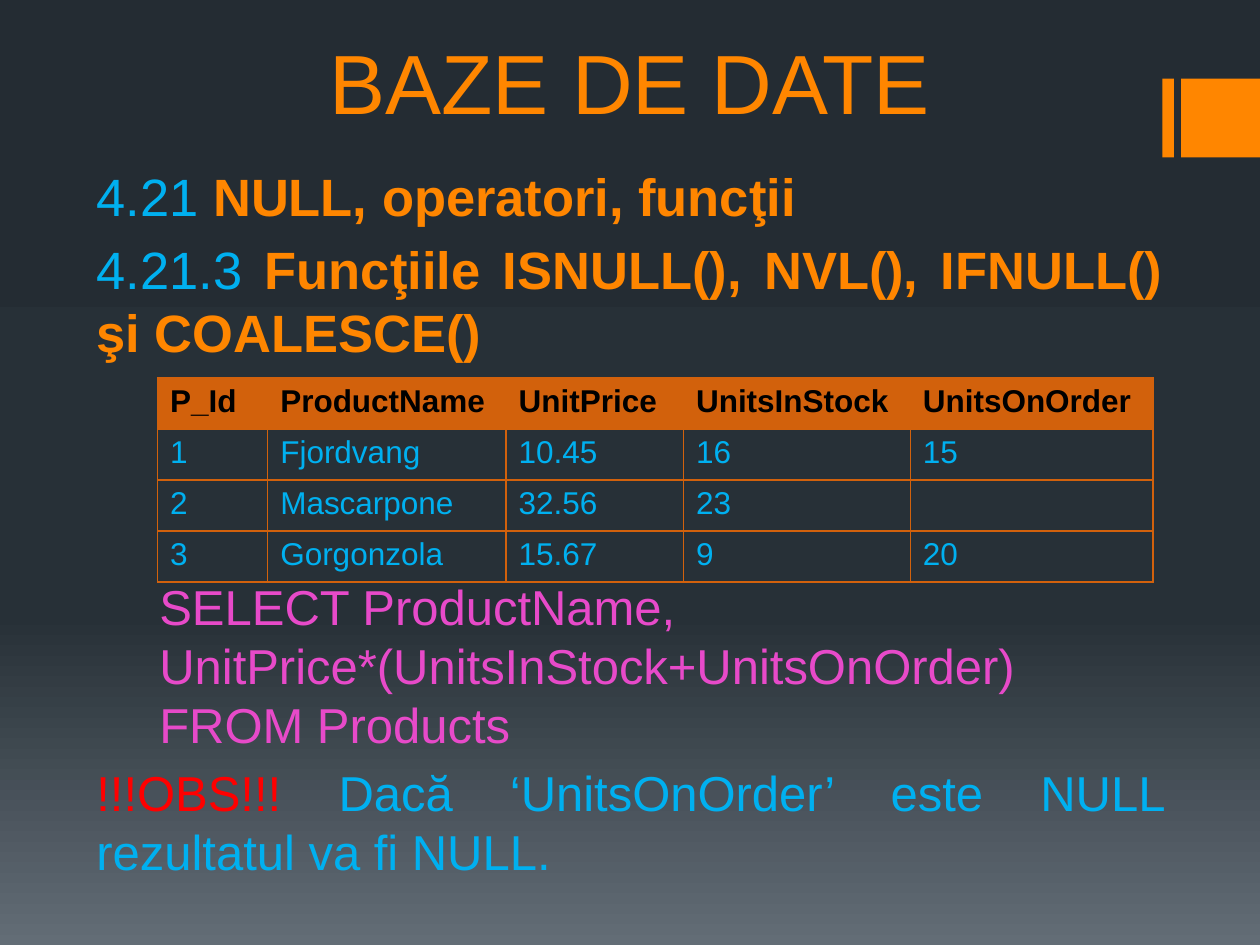
import copy

import pptx
import pptx.dml.color
import pptx.enum.shapes
import pptx.enum.text
import pptx.oxml
import pptx.oxml.ns
import pptx.util

RGBColor = pptx.dml.color.RGBColor
Align = pptx.enum.text.PP_ALIGN
Pt = pptx.util.Pt

ORANGE = RGBColor(0xFF, 0x86, 0x00)
RUST = RGBColor(0xD2, 0x61, 0x0C)
BLUE = RGBColor(0x00, 0xB0, 0xF0)
PINK = RGBColor(0xE7, 0x4A, 0xC9)
RED = RGBColor(0xFF, 0x00, 0x00)
BLACK = RGBColor(0x00, 0x00, 0x00)
BACKGROUND = [
    (0, RGBColor(0x24, 0x2C, 0x33)),
    (0.65, RGBColor(0x27, 0x30, 0x37)),
    (1, RGBColor(0x63, 0x6D, 0x76)),
]

UNIT = pptx.util.Inches(10) // 120
SLIDE_GRID = (120, 90)
COLUMN_WIDTHS = [10.5, 22.7, 16.9, 21.6, 23.1]
ROW_HEIGHT = 4.86
PRODUCTS = [
    ["P_Id", "ProductName", "UnitPrice", "UnitsInStock", "UnitsOnOrder"],
    ["1", "Fjordvang", "10.45", "16", "15"],
    ["2", "Mascarpone", "32.56", "23", ""],
    ["3", "Gorgonzola", "15.67", "9", "20"],
]


def grid(*lengths):
    return [round(length * UNIT) for length in lengths]


def set_values(target, values):
    for name, value in values.items():
        setattr(target, name, value)


def add_span(para, text, size, color, bold=False):
    span = para.add_run()
    span.text = text
    set_values(span.font, {"name": "Arial", "size": Pt(size), "bold": bold})
    span.font.color.rgb = color


def paint_background(page):
    fill = page.background.fill
    fill.gradient()
    fill.gradient_angle = 270
    stops = page.element.find(".//" + pptx.oxml.ns.qn("a:gsLst"))
    stops.append(copy.deepcopy(stops[-1]))
    for stop, (position, color) in zip(fill.gradient_stops, BACKGROUND):
        stop.position = position
        stop.color.rgb = color


def add_bar(page, left, width):
    rectangle = pptx.enum.shapes.MSO_SHAPE.RECTANGLE
    bar = page.shapes.add_shape(rectangle, *grid(left, 7.5, width, 7.5))
    bar.shadow.inherit = False
    bar.fill.solid()
    bar.fill.fore_color.rgb = ORANGE
    bar.line.fill.background()


def format_title(page, text):
    title = page.shapes.title
    left, top, width, height = grid(9, 0, 102, 13.1)
    set_values(title, {"left": left, "top": top, "width": width, "height": height})
    frame = title.text_frame
    set_values(frame, {"vertical_anchor": pptx.enum.text.MSO_ANCHOR.BOTTOM, "word_wrap": True})
    para = frame.paragraphs[0]
    para.alignment = Align.CENTER
    add_span(para, text, 48, ORANGE)


def add_text(page, place, paragraphs):
    frame = page.shapes.add_textbox(*grid(*place)).text_frame
    frame.word_wrap = True
    for index, (alignment, indent, spans) in enumerate(paragraphs):
        para = frame.add_paragraph() if index else frame.paragraphs[0]
        space = Pt(spans[0][1] * 0.2) if index else Pt(0)
        set_values(para, {"alignment": alignment, "space_before": space})
        para._p.get_or_add_pPr().set("marL", str(grid(indent)[0]))
        for span in spans:
            add_span(para, *span)


def add_borders(cell):
    properties = cell._tc.get_or_add_tcPr()
    for index, side in enumerate(["lnL", "lnR", "lnT", "lnB"]):
        border = pptx.oxml.parse_xml(
            f'<a:{side} {pptx.oxml.ns.nsdecls("a")} w="{Pt(1)}"><a:solidFill>'
            f'<a:srgbClr val="{RUST}"/></a:solidFill></a:{side}>'
        )
        properties.insert(index, border)


def fill_cell(cell, text, header):
    if header:
        cell.fill.solid()
        cell.fill.fore_color.rgb = RUST
    else:
        cell.fill.background()
    para = cell.text_frame.paragraphs[0]
    if text:
        add_span(para, text, 18, BLACK if header else BLUE, header)
    add_borders(cell)


def add_product_table(page):
    place = grid(15, 36, sum(COLUMN_WIDTHS), ROW_HEIGHT * len(PRODUCTS))
    table = page.shapes.add_table(len(PRODUCTS), len(COLUMN_WIDTHS), *place).table
    for column, width in zip(table.columns, grid(*COLUMN_WIDTHS)):
        column.width = width
    for row_index, values in enumerate(PRODUCTS):
        for column_index, text in enumerate(values):
            fill_cell(table.cell(row_index, column_index), text, row_index == 0)


def main():
    deck = pptx.Presentation()
    deck.slide_width, deck.slide_height = grid(*SLIDE_GRID)
    page = deck.slides.add_slide(deck.slide_layouts.get_by_name("Title Only"))
    paint_background(page)
    add_bar(page, 110.7, 1.1)
    add_bar(page, 112.5, 7.5)
    format_title(page, "BAZE DE DATE")
    add_text(page, (8, 15, 104, 20), [
        (Align.LEFT, 0, [
            ("4.21", 30, BLUE),
            (" NULL, operatori, funcţii", 30, ORANGE, True),
        ]),
        (Align.JUSTIFY, 0, [
            ("4.21.3 ", 30, BLUE),
            ("Funcţiile ISNULL(), NVL(), IFNULL() şi COALESCE()", 30, ORANGE, True),
        ]),
    ])
    add_text(page, (8, 54.3, 104, 27.7), [
        (Align.LEFT, 6, [
            ("SELECT ProductName, UnitPrice*(UnitsInStock+UnitsOnOrder) FROM Products", 28, PINK),
        ]),
        (Align.JUSTIFY, 0, [
            ("!!!OBS!!! ", 28, RED),
            ("Dacă ‘UnitsOnOrder’ este NULL rezultatul va fi NULL.", 28, BLUE),
        ]),
    ])
    add_product_table(page)
    deck.save("out.pptx")


main()
